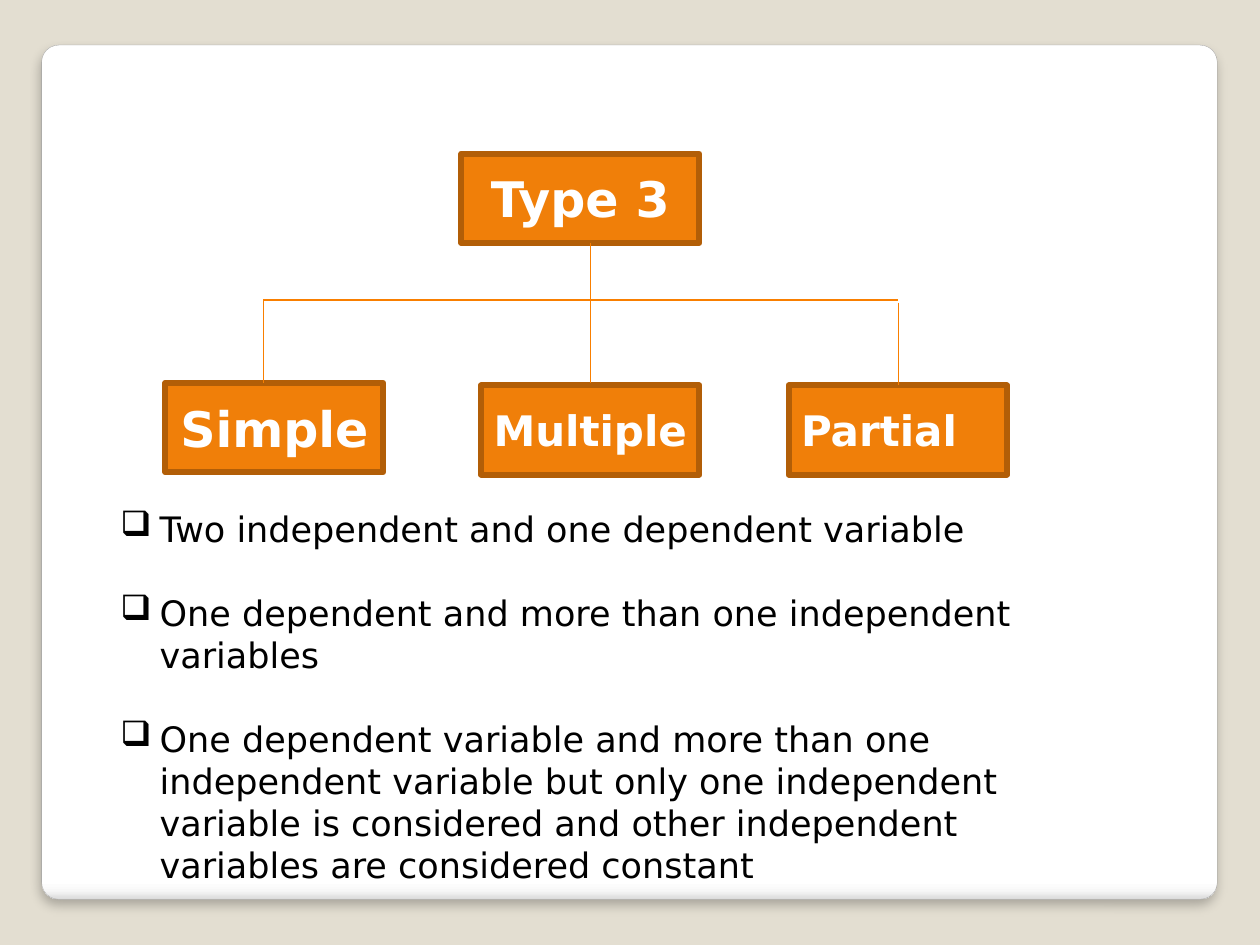
from lxml.etree import SubElement
from pptx import Presentation
from pptx.dml.color import RGBColor
from pptx.enum.shapes import MSO_CONNECTOR, MSO_SHAPE
from pptx.enum.text import MSO_ANCHOR, PP_ALIGN
from pptx.oxml import parse_xml
from pptx.oxml.ns import nsdecls, qn
from pptx.util import Cm, Pt

SAND = RGBColor(0xE3, 0xDE, 0xD1)
GREY = RGBColor(0xA4, 0xA4, 0xA4)
ORANGE = RGBColor(0xF0, 0x7F, 0x09)
BROWN = RGBColor(0xB2, 0x5E, 0x07)
BRANCH = RGBColor(0xF9, 0x7F, 0x00)
WHITE = RGBColor(0xFF, 0xFF, 0xFF)
BLACK = RGBColor(0x00, 0x00, 0x00)

CARD_STOPS = [(0, "FFFFFF"), (98, "FFFFFF"), (99, "F7F7F7"), (100, "DADADA")]
BOX_HEIGHT = 1.8
CHILD_WIDTH = 4.4
CHILDREN = [
    ("Simple", 3.33, 7.72, 28, PP_ALIGN.CENTER),
    ("Partial", 15.9, 7.77, 24, PP_ALIGN.LEFT),
    ("Multiple", 9.7, 7.77, 24, PP_ALIGN.CENTER),
]
BRANCHES = [
    (5.31, 6.05, 18.11, 6.05),
    (5.31, 6.05, 5.31, 7.72),
    (18.11, 6.1, 18.11, 7.77),
    (11.91, 4.9, 11.91, 7.72),
]
POINTS = [
    "Two independent and one dependent variable",
    "One dependent and more than one independent variables",
    "One dependent variable and more than one independent variable but only "
    "one independent variable is considered and other independent variables "
    "are considered constant",
]


class Deck:
    """Holds the style and the current slide, and draws each kind of element."""

    font = "DejaVu Sans"

    def __init__(self, prs):
        self.s = prs.slides.add_slide(prs.slide_layouts[6])
        fill = self.s.background.fill
        fill.solid()
        fill.fore_color.rgb = SAND

    def run(self, p, text, size, color, bold=False):
        r = p.add_run()
        r.text = text
        r.font.name = self.font
        r.font.size = Pt(size)
        r.font.bold = bold
        r.font.color.rgb = color

    def shape(self, kind, x, y, w, h, line, weight):
        sp = self.s.shapes.add_shape(kind, Cm(x), Cm(y), Cm(w), Cm(h))
        sp.shadow.inherit = False
        sp.line.color.rgb = line
        sp.line.width = Pt(weight)
        return sp

    def card(self, x, y, w, h):
        sp = self.shape(MSO_SHAPE.ROUNDED_RECTANGLE, x, y, w, h, GREY, 0.16)
        sp.adjustments[0] = 0.02
        stops = "".join(
            f'<a:gs pos="{pos * 1000}"><a:srgbClr val="{color}"/></a:gs>'
            for pos, color in CARD_STOPS
        )
        sp._element.spPr.find(qn("a:prstGeom")).addnext(parse_xml(
            f'<a:gradFill {nsdecls("a")}><a:gsLst>{stops}</a:gsLst>'
            '<a:lin ang="5400000" scaled="0"/></a:gradFill>'))
        effects = sp._element.spPr.find(qn("a:effectLst"))
        effects.append(parse_xml(
            f'<a:outerShdw {nsdecls("a")} blurRad="{Pt(6)}" dist="{Pt(4)}" '
            'dir="5400000" algn="tl" rotWithShape="0"><a:srgbClr val="000000">'
            '<a:alpha val="25000"/></a:srgbClr></a:outerShdw>'))

    def box(self, text, x, y, w, size, align=PP_ALIGN.CENTER):
        sp = self.shape(MSO_SHAPE.RECTANGLE, x, y, w, BOX_HEIGHT, BROWN, 3.35)
        sp.fill.solid()
        sp.fill.fore_color.rgb = ORANGE
        tf = sp.text_frame
        tf.word_wrap = True
        tf.vertical_anchor = MSO_ANCHOR.MIDDLE
        p = tf.paragraphs[0]
        p.alignment = align
        self.run(p, text, size, WHITE, bold=True)

    def bullets(self, points, x, y, w, h):
        tf = self.s.shapes.add_textbox(Cm(x), Cm(y), Cm(w), Cm(h)).text_frame
        tf.word_wrap = True
        for i, text in enumerate(points):
            p = tf.add_paragraph() if i else tf.paragraphs[0]
            p.space_before = Pt(24 if i else 0)
            pPr = p._p.get_or_add_pPr()
            pPr.set("marL", str(Cm(0.79)))
            pPr.set("indent", str(-Cm(0.79)))
            SubElement(pPr, qn("a:buChar")).set("char", "❑")
            self.run(p, text, 20, BLACK)

    def branch(self, x1, y1, x2, y2):
        line = self.s.shapes.add_connector(
            MSO_CONNECTOR.STRAIGHT, Cm(x1), Cm(y1), Cm(x2), Cm(y2))
        line.line.color.rgb = BRANCH
        line.line.width = Pt(0.75)
        SubElement(line._element.spPr, qn("a:effectLst"))


def main():
    prs = Presentation()
    prs.slide_width, prs.slide_height = Cm(25.4), Cm(19.05)
    deck = Deck(prs)
    deck.card(0.84, 0.91, 23.7, 17.22)
    deck.bullets(POINTS, 2.18, 10.1, 19, 8)
    deck.box("Type 3", 9.3, 3.1, 4.8, 28)
    for text, x, y, size, align in CHILDREN:
        deck.box(text, x, y, CHILD_WIDTH, size, align)
    for ends in BRANCHES:
        deck.branch(*ends)
    prs.save("out.pptx")


if __name__ == "__main__":
    main()
